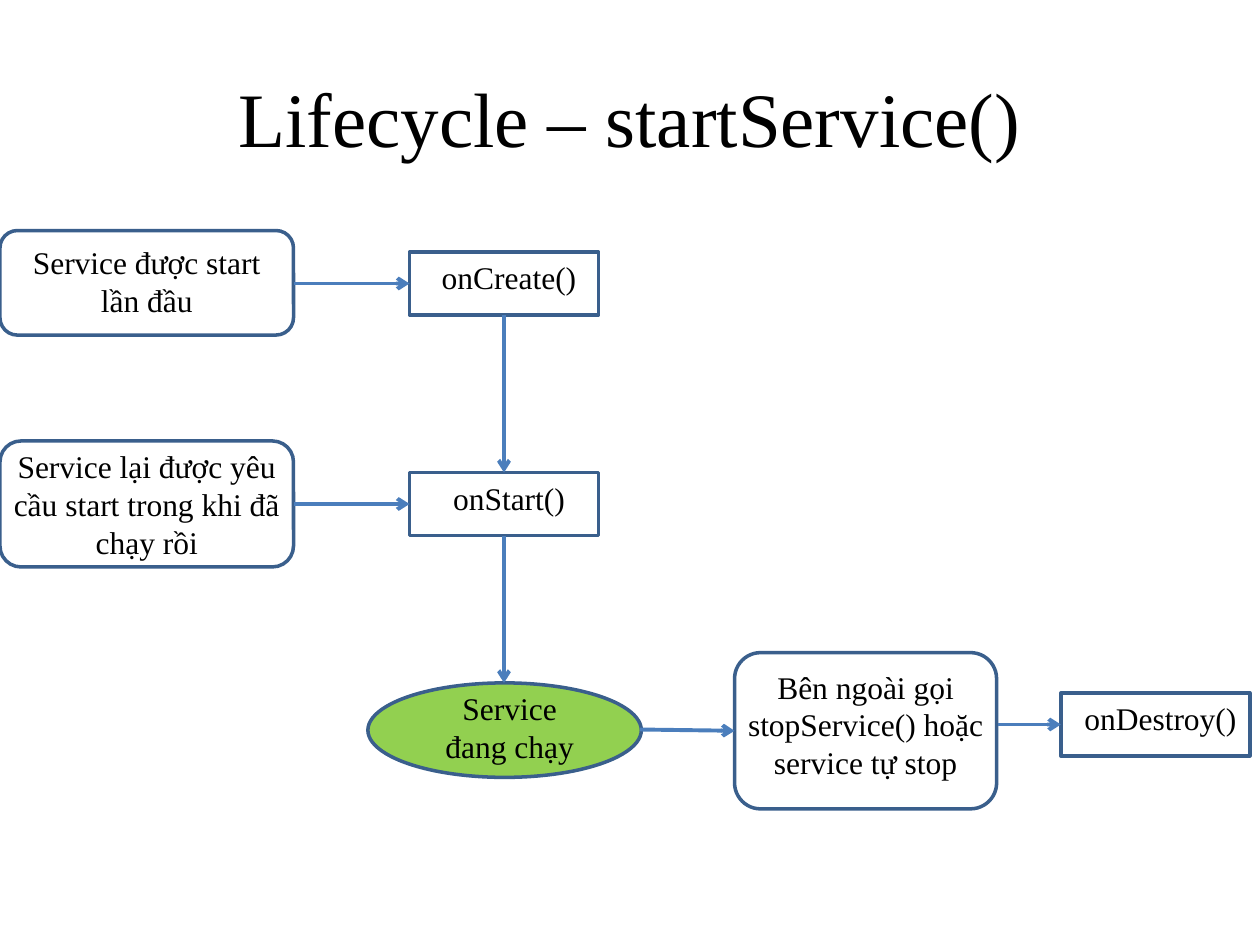
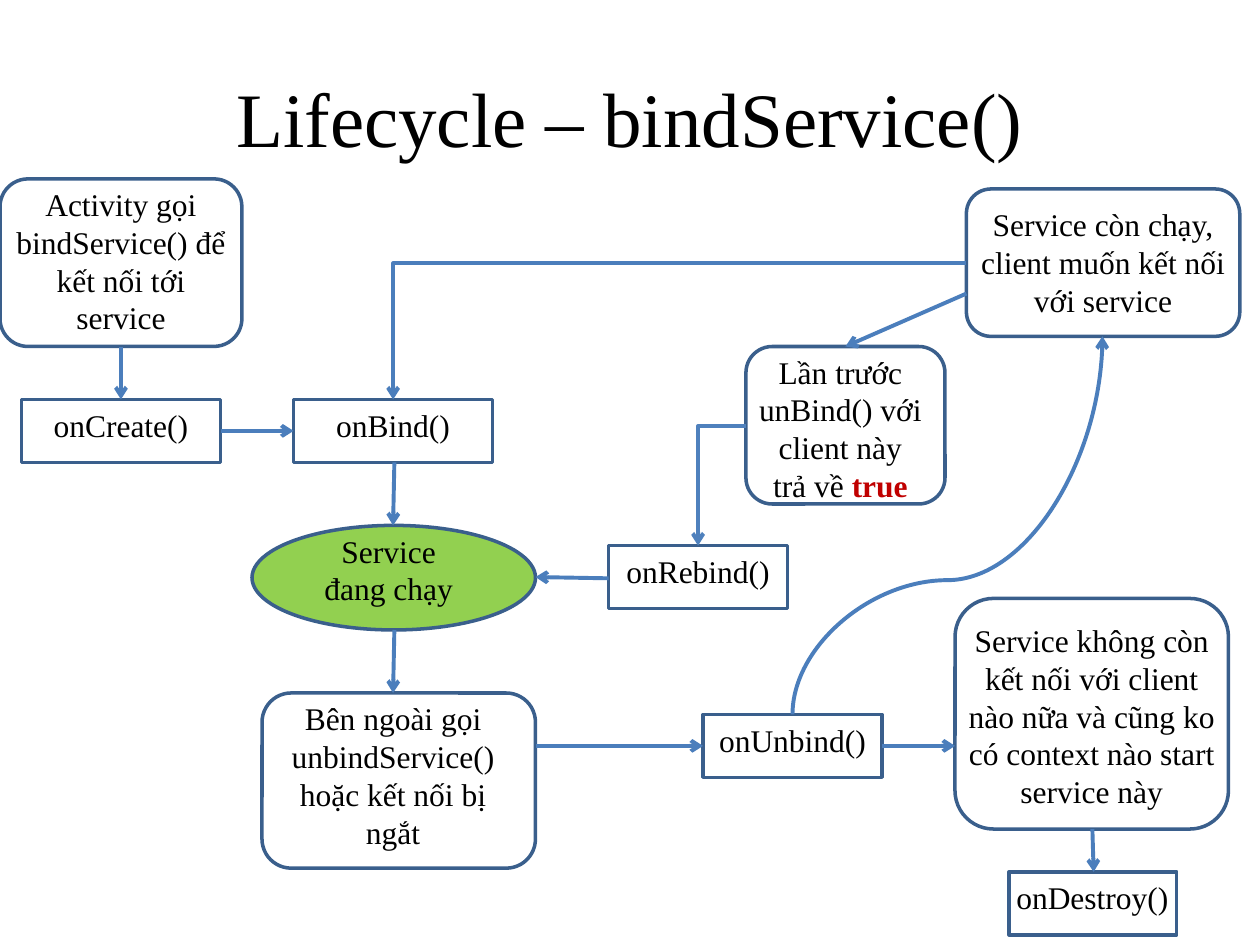
from dataclasses import dataclass
from typing import Optional

import pptx
import pptx.dml.color
import pptx.enum.shapes
import pptx.enum.text
import pptx.oxml
import pptx.oxml.ns
import pptx.util
from pptx.util import Inches

SHAPE = pptx.enum.shapes.MSO_SHAPE
CONNECTOR = pptx.enum.shapes.MSO_CONNECTOR
ANCHOR = pptx.enum.text.MSO_ANCHOR
AUTO_SIZE = pptx.enum.text.MSO_AUTO_SIZE


@dataclass(frozen=True)
class Theme:
    font: str = "Times New Roman"
    title_size: int = 44
    body_size: int = 18
    text: str = "000000"
    emphasis: str = "C00000"
    outline: str = "3A5F8C"
    running: str = "92D050"
    arrow: str = "4B7EBC"
    rebind_arrow: str = "4F81BD"
    outline_width: float = 2
    arrow_width: float = 2.25


THEME = Theme()
Point = tuple[float, float]


@dataclass(frozen=True)
class Node:
    """A framed step; the label may sit at its own (left, top, width)."""
    kind: SHAPE
    left: float
    top: float
    width: float
    height: float
    text: str
    label: Optional[tuple[float, float, float]] = None
    emphasis: str = ""


@dataclass(frozen=True)
class Arrow:
    start: Point
    end: Point
    preset: str = "line"
    color: str = THEME.arrow
    bend: Optional[int] = None


@dataclass(frozen=True)
class Diagram:
    title: str
    nodes: list[Node]
    arrows: list[Arrow]


def method(left: float, top: float, width: float, text: str,
           label: Optional[tuple[float, float, float]] = None) -> Node:
    """Callback box: all share one height."""
    return Node(SHAPE.RECTANGLE, left, top, width, 0.5, text, label)


def event(left: float, top: float, width: float, height: float, text: str,
          label: Optional[tuple[float, float, float]] = None,
          emphasis: str = "") -> Node:
    return Node(SHAPE.ROUNDED_RECTANGLE, left, top, width, height, text, label, emphasis)


def running(left: float, top: float, width: float, height: float,
            label: tuple[float, float, float]) -> Node:
    return Node(SHAPE.OVAL, left, top, width, height, "Service đang chạy", label)


def rgb(color: str) -> pptx.dml.color.RGBColor:
    return pptx.dml.color.RGBColor.from_string(color)


def add_text(s, left: float, top: float, width: float, height: float,
             text: str, size: int, emphasis: str = ""):
    tf = s.shapes.add_textbox(Inches(left), Inches(top), Inches(width),
                              Inches(height)).text_frame
    tf.word_wrap = True
    p = tf.paragraphs[0]
    p.alignment = pptx.enum.text.PP_ALIGN.CENTER
    p.font.name = THEME.font
    p.font.size = pptx.util.Pt(size)
    p.font.color.rgb = rgb(THEME.text)
    p.add_run().text = text
    if emphasis:
        r = p.add_run()
        r.text = emphasis
        r.font.bold = True
        r.font.color.rgb = rgb(THEME.emphasis)
    return tf


def add_title(s, title: str) -> None:
    tf = add_text(s, 0.5, 0.3, 9, 1.25, title, THEME.title_size)
    tf.vertical_anchor = ANCHOR.MIDDLE


def add_node(s, node: Node) -> None:
    sp = s.shapes.add_shape(node.kind, Inches(node.left), Inches(node.top),
                            Inches(node.width), Inches(node.height))
    sp.shadow.inherit = False
    if node.kind == SHAPE.OVAL:
        sp.fill.solid()
        sp.fill.fore_color.rgb = rgb(THEME.running)
    else:
        sp.fill.background()
    sp.line.color.rgb = rgb(THEME.outline)
    sp.line.width = pptx.util.Pt(THEME.outline_width)
    left, top, width = node.label or (node.left, node.top, node.width)
    tf = add_text(s, left, top, width, 0.4, node.text, THEME.body_size, node.emphasis)
    tf.auto_size = AUTO_SIZE.SHAPE_TO_FIT_TEXT


def add_arrow(s, arrow: Arrow) -> None:
    (x1, y1), (x2, y2) = arrow.start, arrow.end
    cx = s.shapes.add_connector(CONNECTOR.STRAIGHT, Inches(x1), Inches(y1),
                                Inches(x2), Inches(y2))
    cx.line.color.rgb = rgb(arrow.color)
    cx.line.width = pptx.util.Pt(THEME.arrow_width)
    props = cx._element.spPr
    xfrm = props.find(pptx.oxml.ns.qn("a:xfrm"))
    geom = props.find(pptx.oxml.ns.qn("a:prstGeom"))
    geom.set("prst", arrow.preset)

    # Elbow: leave leftwards, then turn down
    if arrow.preset == "bentConnector2":
        xfrm.attrib.pop("flipH", None)
        xfrm.set("rot", "10800000")
        xfrm.set("flipV", "1")

    # Curve: quarter turn around the centre, so width and height swap
    if arrow.bend is not None:
        run, rise = abs(x2 - x1), abs(y2 - y1)
        cx.left = Inches((x1 + x2 - rise) / 2)
        cx.top = Inches((y1 + y2 - run) / 2)
        cx.width, cx.height = Inches(rise), Inches(run)
        for name, value in (("rot", "5400000"), ("flipH", "1"), ("flipV", "1")):
            xfrm.set(name, value)
        guides = geom.find(pptx.oxml.ns.qn("a:avLst"))
        guide = guides.makeelement(pptx.oxml.ns.qn("a:gd"),
                                   {"name": "adj1", "fmla": f"val {arrow.bend}"})
        guides.append(guide)

    ln = cx.line._get_or_add_ln()
    ln.append(ln.makeelement(pptx.oxml.ns.qn("a:tailEnd"), {"type": "arrow"}))
    props.append(props.makeelement(pptx.oxml.ns.qn("a:effectLst"), {}))


def add_diagram(prs, diagram: Diagram) -> None:
    s = prs.slides.add_slide(prs.slide_layouts[6])
    add_title(s, diagram.title)
    for node in diagram.nodes:
        add_node(s, node)
    for arrow in diagram.arrows:
        add_arrow(s, arrow)


# Service started by a context
START_SERVICE = Diagram(
    "Lifecycle – startService()",
    [
        event(0, 1.83, 2.33, 0.83, "Service được start lần đầu", (0, 1.88, 2.33)),
        event(0, 3.5, 2.33, 1, "Service lại được yêu cầu start trong khi đã chạy rồi"),
        method(3.25, 2, 1.5, "onCreate()", (3.25, 2, 1.58)),
        method(3.25, 3.75, 1.5, "onStart()", (3.25, 3.75, 1.58)),
        running(2.92, 5.42, 2.17, 0.75, (3.42, 5.42, 1.25)),
        event(5.83, 5.18, 2.08, 1.24,
              "Bên ngoài gọi stopService() hoặc service tự stop", (5.83, 5.25, 2.08)),
        method(8.42, 5.5, 1.5, "onDestroy()", (8.42, 5.5, 1.58)),
    ],
    [
        Arrow((2.33, 2.25), (3.25, 2.25)),
        Arrow((2.33, 4), (3.25, 4)),
        Arrow((4, 2.5), (4, 3.75)),
        Arrow((4, 4.25), (4, 5.42)),
        Arrow((5.08, 5.79), (5.83, 5.8)),
        Arrow((7.92, 5.75), (8.42, 5.75)),
    ],
)

# Service bound by a client
BIND_SERVICE = Diagram(
    "Lifecycle – bindService()",
    [
        event(0, 1.42, 1.92, 1.33, "Activity gọi bindService() để kết nối tới service"),
        method(0.17, 3.17, 1.58, "onCreate()"),
        method(2.33, 3.17, 1.58, "onBind()"),
        running(2, 4.17, 2.25, 0.83, (2.42, 4.17, 1.33)),
        event(2.08, 5.5, 2.17, 1.39,
              "Bên ngoài gọi unbindService() hoặc kết nối bị ngắt", (2.08, 5.5, 2.08)),
        method(5.58, 5.67, 1.42, "onUnbind()"),
        event(7.58, 4.75, 2.17, 1.83,
              "Service không còn kết nối với client nào nữa và cũng ko "
              "có context nào start service này", (7.58, 4.88, 2.17)),
        method(8.01, 6.92, 1.33, "onDestroy()", (7.92, 6.92, 1.5)),
        event(7.67, 1.5, 2.17, 1.17,
              "Service còn chạy, client muốn kết nối với service", (7.67, 1.58, 2.17)),
        event(5.92, 2.75, 1.58, 1.25, "Lần trước unBind() với client này trả về ",
              (5.92, 2.75, 1.5), "true"),
        method(4.83, 4.33, 1.42, "onRebind()"),
    ],
    [
        Arrow((0.96, 2.75), (0.96, 3.17)),
        Arrow((1.75, 3.42), (2.33, 3.42)),
        Arrow((3.13, 3.67), (3.12, 4.17)),
        Arrow((3.13, 5), (3.12, 5.5)),
        Arrow((4.25, 5.92), (5.58, 5.92)),
        Arrow((7, 5.92), (7.58, 5.92)),
        Arrow((8.67, 6.58), (8.68, 6.92)),
        Arrow((6.29, 5.67), (8.75, 2.67), "curvedConnector3", bend=35500),
        Arrow((7.67, 2.09), (3.12, 3.17), "bentConnector2"),
        Arrow((7.67, 2.33), (6.71, 2.75)),
        Arrow((5.92, 3.38), (5.54, 4.33), "bentConnector2", THEME.rebind_arrow),
        Arrow((4.83, 4.59), (4.25, 4.58)),
    ],
)


def main() -> None:
    prs = pptx.Presentation()
    prs.slide_width, prs.slide_height = Inches(10), Inches(7.5)
    for diagram in (START_SERVICE, BIND_SERVICE):
        add_diagram(prs, diagram)
    prs.save("out.pptx")


if __name__ == "__main__":
    main()
